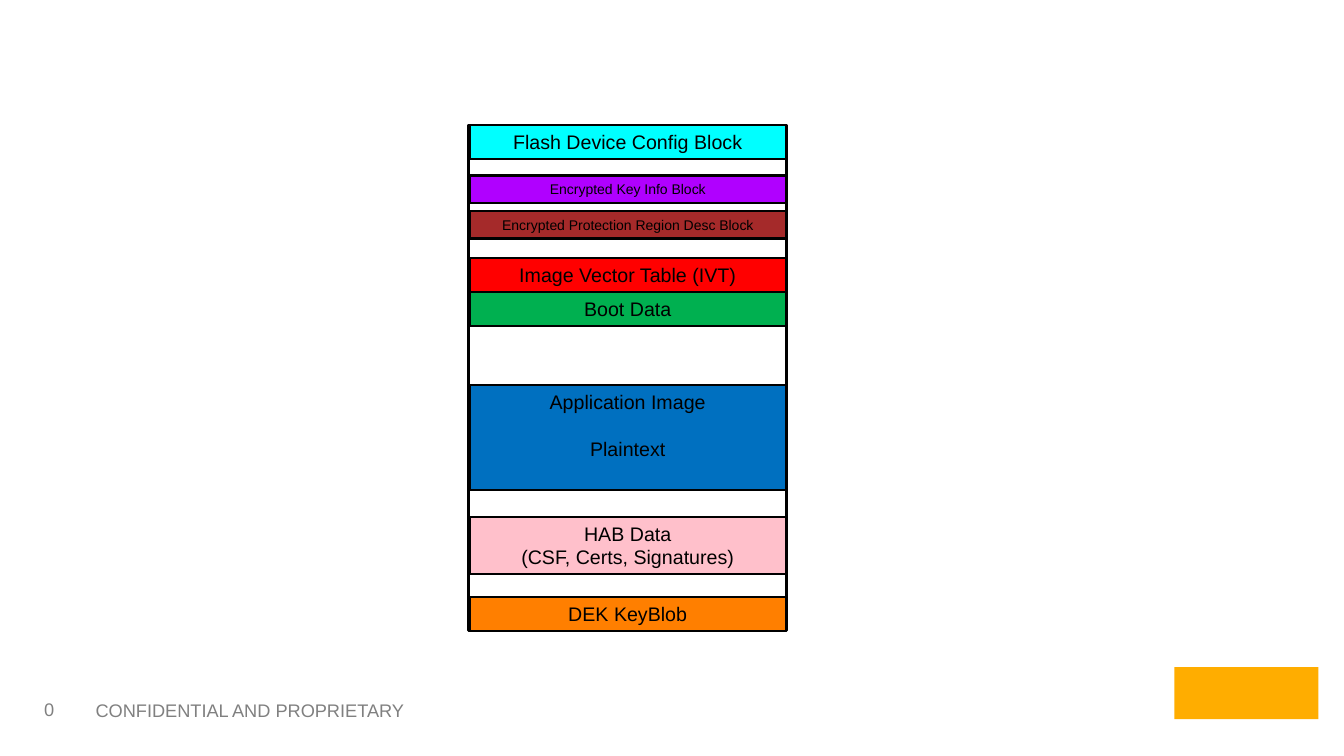
from dataclasses import dataclass

from pptx import Presentation
from pptx import util as u
from pptx.dml import color
from pptx.enum import shapes, text

Pt = u.Pt


@dataclass(frozen=True)
class Theme:
    font: str = "Arial"
    ink: str = "000000"
    muted: str = "808080"
    mark: str = "FFAD00"
    body: float = 14
    small: float = 10
    footer: float = 13
    frame_line: float = 2
    block_line: float = 1.5


@dataclass(frozen=True)
class Box:
    left: float
    top: float
    width: float
    height: float

    def lengths(self) -> tuple:
        return Pt(self.left), Pt(self.top), Pt(self.width), Pt(self.height)


@dataclass(frozen=True)
class Block:
    lines: tuple[str, ...]
    top: float
    height: float
    fill: str
    size: float = Theme.body
    gap: float = 0


THEME = Theme()
BLOCK_LEFT, BLOCK_WIDTH = 335.4, 226
ROW, THIN_ROW = 24.3, 19.4
BLOCKS = (
    Block(("Encrypted Key Info Block",), 125.4, THIN_ROW, "B000FF", THEME.small),
    Block(("Flash Device Config Block",), 89.3, ROW, "00FFFF"),
    Block(("Encrypted Protection Region Desc Block",), 151, THIN_ROW, "A52A2A", THEME.small),
    Block(("Image Vector Table (IVT)",), 184.3, ROW, "FF0000"),
    Block(("Boot Data",), 208.6, ROW, "00B050"),
    Block(("Application Image", "Plaintext"), 275, 75, "0070C0", gap=17),
    Block(("HAB Data", "(CSF, Certs, Signatures)"), 369.2, 41, "FFC0CB"),
    Block(("DEK KeyBlob",), 426.4, ROW, "FF7F00"),
)


def rgb(value: str) -> color.RGBColor:
    return color.RGBColor.from_string(value)


def write(frame, lines: tuple[str, ...], size: float, ink: str,
          align=text.PP_ALIGN.LEFT, anchor=text.MSO_ANCHOR.TOP, gap: float = 0) -> None:
    frame.word_wrap = True
    frame.vertical_anchor = anchor
    for index, line in enumerate(lines):
        paragraph = frame.add_paragraph() if index else frame.paragraphs[0]
        paragraph.alignment = align
        if index:
            paragraph.space_before = Pt(gap)
        run = paragraph.add_run()
        run.text = line
        run.font.name = THEME.font
        run.font.size = Pt(size)
        run.font.color.rgb = rgb(ink)


def draw_rectangle(slide, box: Box, fill: str | None = None, line_width: float = 0):
    rectangle = slide.shapes.add_shape(shapes.MSO_SHAPE.RECTANGLE, *box.lengths())
    rectangle.shadow.inherit = False
    if fill:
        rectangle.fill.solid()
        rectangle.fill.fore_color.rgb = rgb(fill)
    else:
        rectangle.fill.background()
    if line_width:
        rectangle.line.color.rgb = rgb(THEME.ink)
        rectangle.line.width = Pt(line_width)
    else:
        rectangle.line.fill.background()
    return rectangle


def draw_block(slide, block: Block) -> None:
    box = Box(BLOCK_LEFT, block.top, BLOCK_WIDTH, block.height)
    rectangle = draw_rectangle(slide, box, block.fill, THEME.block_line)
    write(rectangle.text_frame, block.lines, block.size, THEME.ink,
          text.PP_ALIGN.CENTER, gap=block.gap)


def draw_footer(slide, words: str, box: Box, anchor, inset: float) -> None:
    frame = slide.shapes.add_textbox(*box.lengths()).text_frame
    frame.margin_left = frame.margin_right = Pt(inset)
    write(frame, (words,), THEME.footer, THEME.muted, anchor=anchor)


def build() -> None:
    deck = Presentation()
    deck.slide_width, deck.slide_height = Pt(960), Pt(540)
    slide = deck.slides.add_slide(deck.slide_layouts.get_by_name("Blank"))

    draw_footer(slide, "CONFIDENTIAL AND PROPRIETARY", Box(61.2, 496.2, 286.6, 24.5),
                text.MSO_ANCHOR.TOP, 7.2)
    draw_footer(slide, "0", Box(26.6, 496.1, 46.8, 21.6), text.MSO_ANCHOR.MIDDLE, 5)
    draw_rectangle(slide, Box(838.8, 476.6, 103, 37.1), THEME.mark)

    draw_rectangle(slide, Box(334.8, 89.3, 226.8, 361), line_width=THEME.frame_line)
    for block in BLOCKS:
        draw_block(slide, block)

    deck.save("out.pptx")


build()
